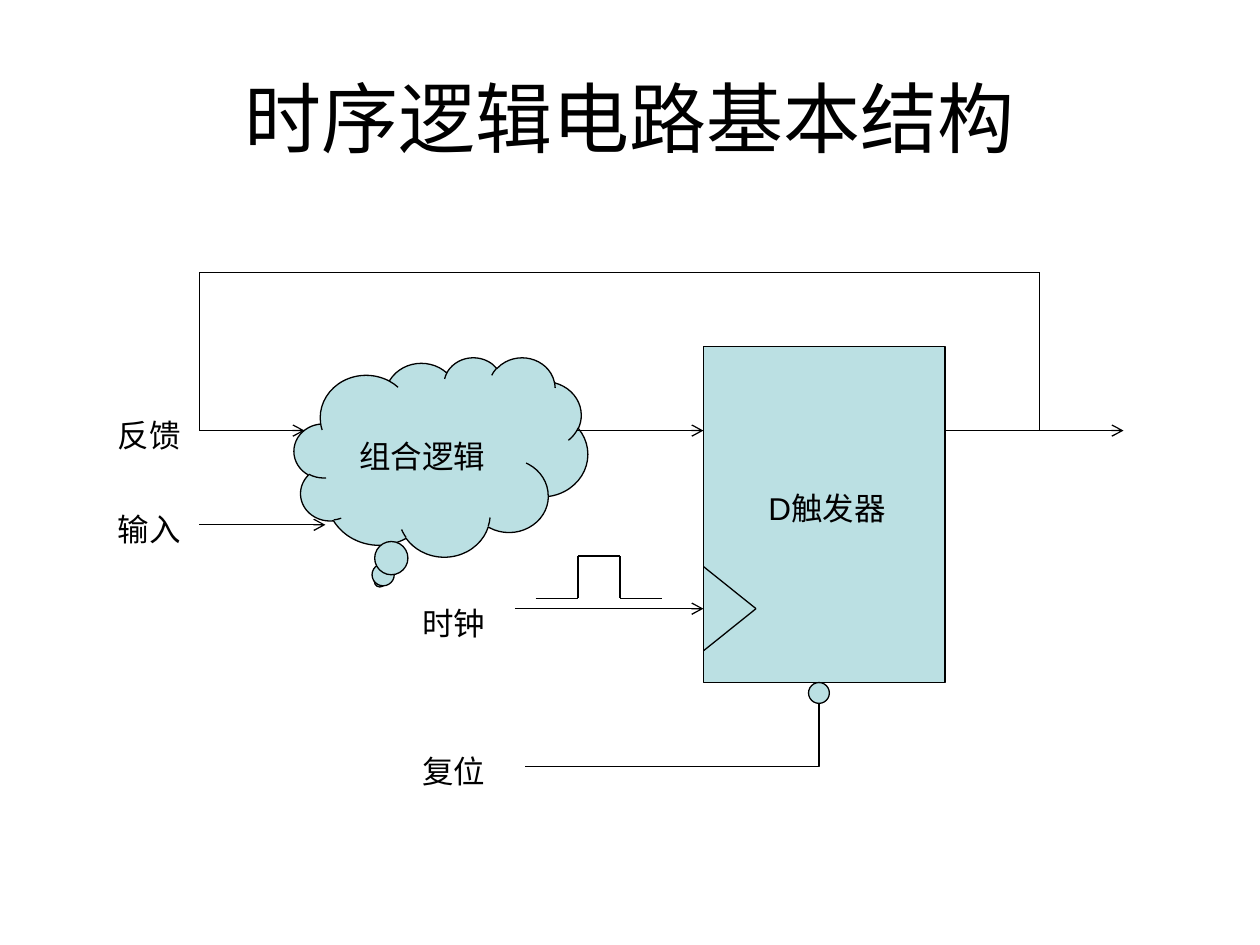
import pptx
import pptx.util
import pptx.dml.color
import pptx.enum.shapes
import pptx.enum.text
import pptx.oxml.ns
from lxml import etree

Cm, Pt = pptx.util.Cm, pptx.util.Pt
SHAPE = pptx.enum.shapes.MSO_SHAPE
CONNECTOR = pptx.enum.shapes.MSO_CONNECTOR
qn = pptx.oxml.ns.qn

COLORS = {"ink": "000000", "block": "BBE0E3"}
LABEL_H = 1.02


def rgb(name):
    return pptx.dml.color.RGBColor.from_string(COLORS[name])


def add_text(slide, text, x, y, w, h=LABEL_H, size=18):
    tf = slide.shapes.add_textbox(Cm(x), Cm(y), Cm(w), Cm(h)).text_frame
    tf.word_wrap = True
    p = tf.paragraphs[0]
    p.text = text
    p.font.size, p.font.name = Pt(size), "Arial"
    p.font.color.rgb = rgb("ink")
    return tf


def add_block(slide, kind, x, y, w, h):
    sp = slide.shapes.add_shape(kind, Cm(x), Cm(y), Cm(w), Cm(h))
    sp.shadow.inherit = False
    sp.fill.solid()
    sp.fill.fore_color.rgb = rgb("block")
    sp.line.color.rgb = rgb("ink")
    sp.line.width = Pt(0.75)
    return sp


def add_wire(slide, start, end, arrow=False, kind=CONNECTOR.STRAIGHT):
    cxn = slide.shapes.add_connector(kind, *(Cm(v) for v in (*start, *end)))
    cxn.line.color.rgb = rgb("ink")
    cxn.line.width = Pt(0.75)
    if arrow:
        etree.SubElement(cxn.line._get_or_add_ln(), qn("a:tailEnd"), type="arrow")
    etree.SubElement(cxn._element.spPr, qn("a:effectLst"))
    return cxn


def add_path(slide, points):
    """Join successive points with straight wires."""
    for start, end in zip(points, points[1:]):
        add_wire(slide, start, end)


def add_title(slide, x, y, w, h):
    tf = add_text(slide, "时序逻辑电路基本结构", x, y, w, h, size=44)
    tf.vertical_anchor = pptx.enum.text.MSO_ANCHOR.MIDDLE
    tf.paragraphs[0].alignment = pptx.enum.text.PP_ALIGN.CENTER


def add_flip_flop(slide, x, y, w, h):
    add_block(slide, SHAPE.RECTANGLE, x, y, w, h)
    clock_y = y + 5.29
    add_path(slide, [(x, clock_y - 0.85), (x + 1.06, clock_y), (x, clock_y + 0.85)])
    add_text(slide, "D触发器", x + 1.06, y + 2.75, 2.96, 1.78)


def add_reset(slide, x, y, w, h):
    """Label at the left, wire turning up into the inverting bubble at top right."""
    bubble = 0.42
    add_block(slide, SHAPE.FLOWCHART_CONNECTOR, x + w - bubble, y, bubble, bubble)
    wire = add_wire(slide, (x + 2.33, y + h), (x + w - bubble / 2, y + bubble),
                    kind=CONNECTOR.ELBOW)
    wire._element.spPr.find(qn("a:prstGeom")).set("prst", "bentConnector2")
    add_text(slide, "复位", x, y + 1.27, 2.12)


def add_clock(slide, x, y, w, h):
    """Label, arrow along the bottom of the box and a pulse above it."""
    base, step = y + 0.85, 0.85
    left = x + 2.54
    add_path(slide, [(left, base), (left + step, base), (left + step, y),
                     (left + 2 * step, y), (left + 2 * step, base),
                     (left + 3 * step, base)])
    add_wire(slide, (x + 2.12, y + h), (x + w, y + h), arrow=True)
    add_text(slide, "时钟", x, base, 2.12)


def add_logic(slide, x, y, w, h):
    cloud = add_block(slide, SHAPE.CLOUD_CALLOUT, x, y, w, h)
    cloud.adjustments[0], cloud.adjustments[1] = -0.208, 0.625
    add_text(slide, "组合逻辑", x + 1.06, y + 1.48, 4.23)


def add_signals(slide, x, y, w, h):
    """Feedback loop around the box, with the data wires along its bottom."""
    bottom, right = y + h, x + w
    add_path(slide, [(right, bottom), (right, y), (x, y), (x, bottom)])
    for start, end in ((0, 2.12), (7.62, 10.16), (15.03, 18.63)):
        add_wire(slide, (x + start, bottom), (x + end, bottom), arrow=True)
    add_wire(slide, (x, bottom + 1.9), (x + 2.54, bottom + 1.9), arrow=True)
    for i, name in enumerate(("反馈", "输入")):
        add_text(slide, name, x - 1.9, bottom - 0.42 + 1.9 * i, 2.12)


def main():
    prs = pptx.Presentation()
    prs.slide_width, prs.slide_height = Cm(25.4), Cm(19.05)
    slide = prs.slides.add_slide(prs.slide_layouts[6])
    add_title(slide, 1.27, 0.76, 22.86, 3.18)
    add_flip_flop(slide, 14.18, 6.98, 4.87, 6.78)
    add_reset(slide, 8.26, 13.76, 8.46, 1.69)
    add_logic(slide, 5.93, 7.2, 5.92, 4.02)
    add_signals(slide, 4.02, 5.5, 16.94, 3.18)
    add_clock(slide, 8.26, 11.21, 5.92, 1.06)
    prs.save("out.pptx")


if __name__ == "__main__":
    main()
